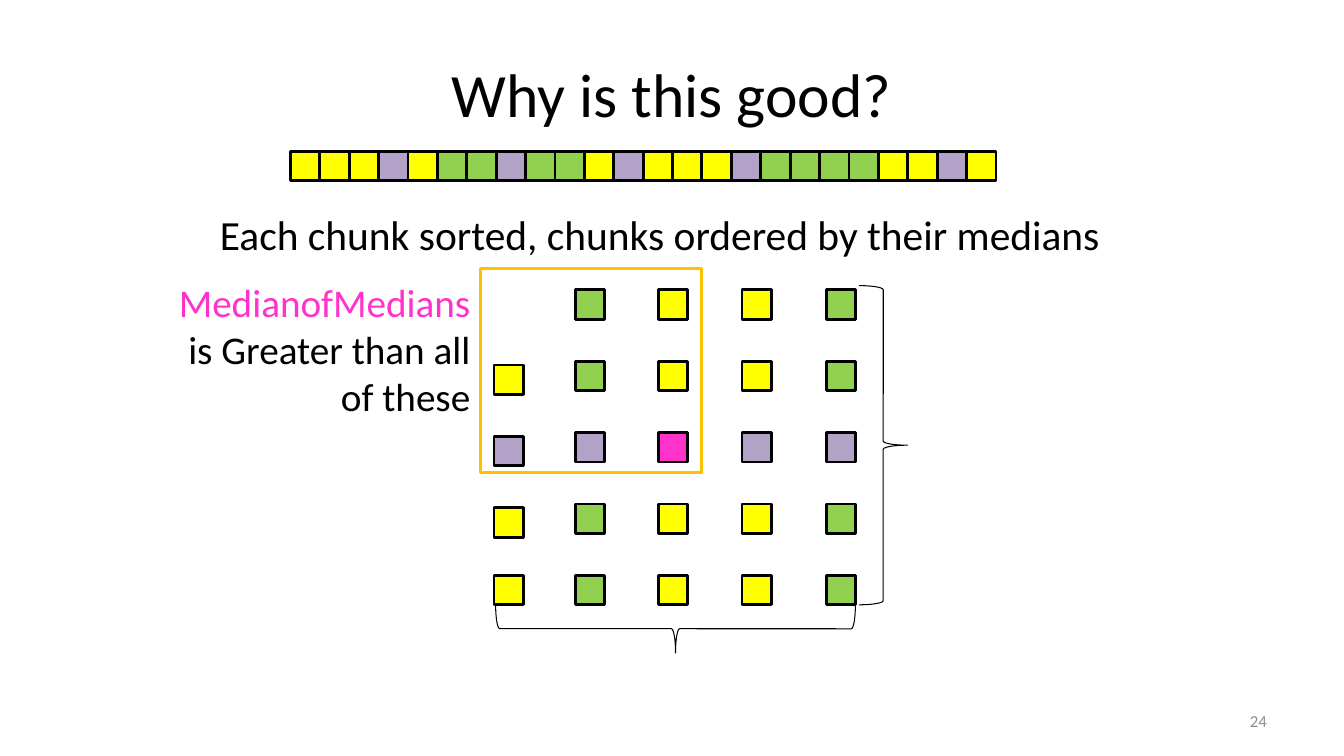
from dataclasses import dataclass

from pptx import Presentation
from pptx import util as u
from pptx.dml.color import RGBColor
from pptx.enum import shapes, text

TITLE = "Why is this good?"
CAPTION = "Each chunk sorted, chunks ordered by their medians"
CLAIM = [("MedianofMedians ", "pink"), ("is Greater than all of these", "black")]
PAGE_NUMBER = "24"

# One letter per cell: Y yellow, G green, V violet, P pink, blank for no cell
STRIP = "YYYVYGGVGGYVYYYVGGGGYYVY"
CHUNKS = [" YVYY", "GGVGG", "YYPYY", "YYVYY", "GGVGG"]


@dataclass(frozen=True)
class Theme:
    font: str = "Calibri"
    title: float = 44
    caption: float = 29.6
    claim: float = 28
    number: float = 12
    black: str = "000000"
    grey: str = "8C8C8C"
    pink: str = "FF33CC"
    amber: str = "FFC000"
    frame_line: float = 2
    brace_line: float = 0.75


THEME = Theme()
CELL_FILLS = {"Y": "FFFF00", "G": "92D050", "V": "B3A2C7", "P": THEME.pink}

CELL = 21
STRIP_LEFT, STRIP_TOP = 207.4, 108.2
CHUNK_LEFTS = [352.8, 411, 470.2, 530, 590.2]
GRID_TOP, ROW_PITCH = 207, 51
SHORT_CHUNK_DROP = 2.7


def place(shape, left, top, width, height):
    shape.left, shape.top = u.Pt(left), u.Pt(top)
    shape.width, shape.height = u.Pt(width), u.Pt(height)


def write(shape, runs, size, align, anchor):
    """Fill a text shape with one paragraph of (text, colour) runs."""
    frame = shape.text_frame
    frame.word_wrap = True
    frame.vertical_anchor = anchor
    para = frame.paragraphs[0]
    para.alignment = align
    for words, colour in runs:
        span = para.add_run()
        span.text = words
        span.font.name = THEME.font
        span.font.size = u.Pt(size)
        span.font.color.rgb = RGBColor.from_string(colour)


def add_text(page, area, runs, size, align, anchor=text.MSO_ANCHOR.TOP):
    box = page.shapes.add_textbox(*map(u.Pt, area))
    write(box, runs, size, align, anchor)


def add_outline(parent, kind, area, colour, weight, fill=None):
    shape = parent.shapes.add_shape(kind, *map(u.Pt, area))
    shape.shadow.inherit = False
    shape.line.color.rgb = RGBColor.from_string(colour)
    shape.line.width = u.Pt(weight)
    if fill:
        shape.fill.solid()
        shape.fill.fore_color.rgb = RGBColor.from_string(fill)
    else:
        shape.fill.background()
    return shape


def add_cell(group, left, top, letter):
    add_outline(group, shapes.MSO_SHAPE.RECTANGLE, (left, top, CELL, CELL),
                THEME.black, THEME.frame_line, CELL_FILLS[letter])


def add_strip(page):
    group = page.shapes.add_group_shape()
    for index, letter in enumerate(STRIP):
        add_cell(group, STRIP_LEFT + index * CELL, STRIP_TOP, letter)


def add_grid(page):
    """Draw each chunk as a column; the short chunk's middle cells sit lower."""
    group = page.shapes.add_group_shape()
    last_row = len(CHUNKS[0]) - 1
    for left, chunk in zip(CHUNK_LEFTS, CHUNKS):
        for row, letter in enumerate(chunk):
            if letter == " ":
                continue
            drop = SHORT_CHUNK_DROP if " " in chunk and row < last_row else 0
            add_cell(group, left, GRID_TOP + row * ROW_PITCH + drop, letter)


def add_brace(page, area, rotation):
    brace = add_outline(page, shapes.MSO_SHAPE.RIGHT_BRACE, area,
                        THEME.black, THEME.brace_line)
    brace.rotation = rotation


def main():
    deck = Presentation()
    deck.slide_width, deck.slide_height = u.Pt(960), u.Pt(540)
    page = deck.slides.add_slide(deck.slide_layouts[5])

    title = page.shapes.title
    place(title, 48, 21.6, 864, 90)
    write(title, [(TITLE, THEME.black)], THEME.title,
          text.PP_ALIGN.CENTER, text.MSO_ANCHOR.MIDDLE)
    add_text(page, (688, 500.5, 224, 28.8), [(PAGE_NUMBER, THEME.grey)],
             THEME.number, text.PP_ALIGN.RIGHT, text.MSO_ANCHOR.MIDDLE)

    add_strip(page)
    add_grid(page)

    add_text(page, (150, 146, 690, 60), [(CAPTION, THEME.black)],
             THEME.caption, text.PP_ALIGN.LEFT)
    add_outline(page, shapes.MSO_SHAPE.RECTANGLE, (343.5, 192, 157.5, 145.5),
                THEME.amber, THEME.frame_line)
    add_text(page, (120, 195, 223, 98),
             [(words, getattr(THEME, colour)) for words, colour in CLAIM],
             THEME.claim, text.PP_ALIGN.RIGHT)
    add_brace(page, (465.2, 320.6, 34.6, 257), 90)
    add_brace(page, (613.6, 204, 34.6, 228), 0)

    deck.save("out.pptx")


if __name__ == "__main__":
    main()
